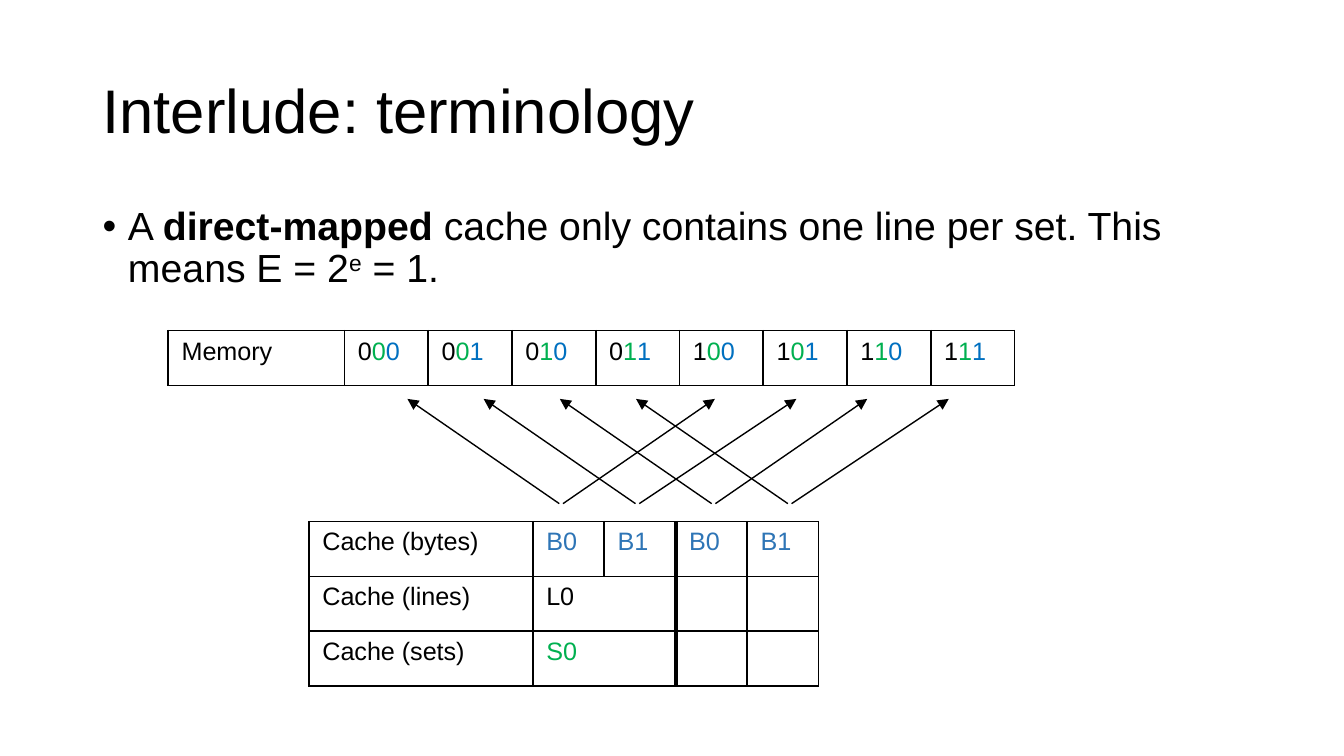
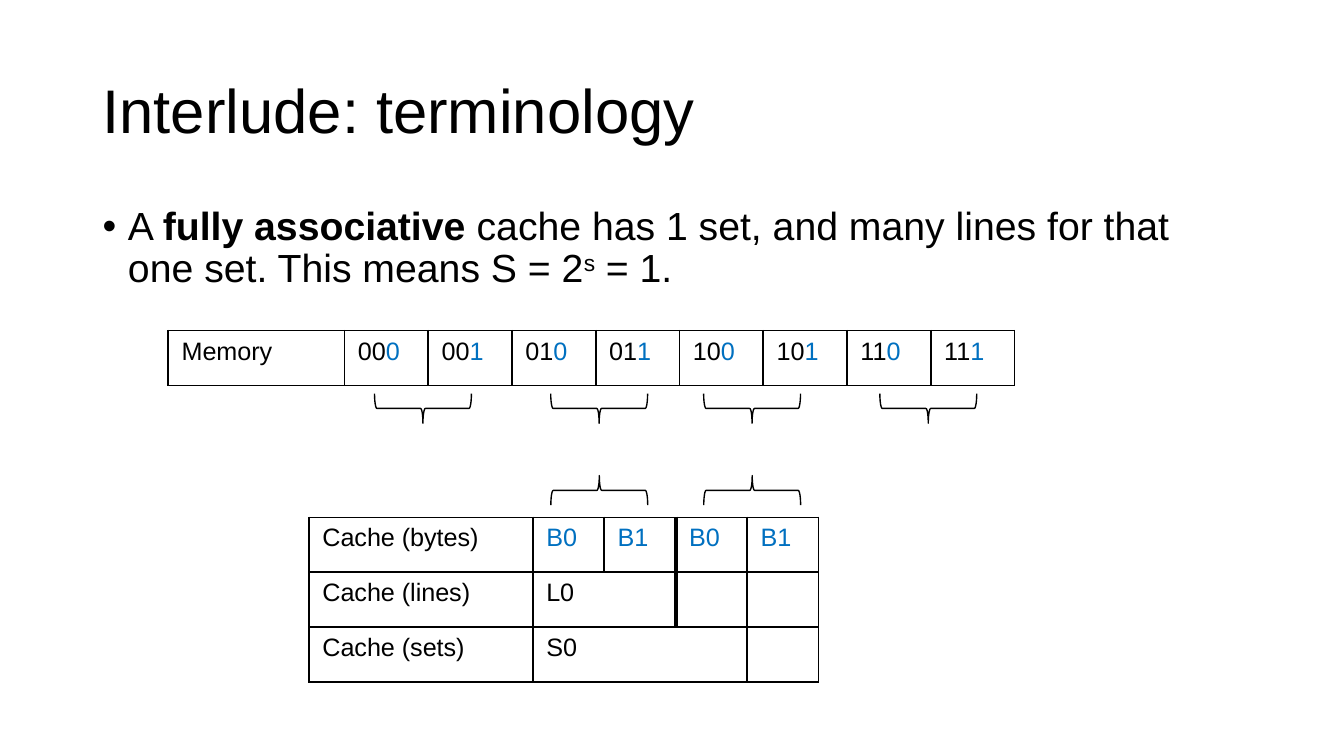
from collections import namedtuple
from dataclasses import dataclass

import pptx
import pptx.dml.color
import pptx.enum.shapes
import pptx.enum.text
import pptx.oxml
import pptx.oxml.ns
import pptx.util

Cm = pptx.util.Cm
Pt = pptx.util.Pt
RGB = pptx.dml.color.RGBColor
NS = pptx.oxml.ns.nsdecls("a")
Box = namedtuple("Box", "x y w h")


@dataclass(frozen=True)
class Theme:
    font: str = "Arial"
    ink: RGB = RGB(0, 0, 0)
    set_bits: RGB = RGB(0x00, 0xB0, 0x50)
    offset_bits: RGB = RGB(0x00, 0x70, 0xC0)
    byte_label: RGB = RGB(0x2E, 0x75, 0xB6)
    title: float = 33
    body: float = 21
    cell: float = 13.5
    line: float = 0.75
    border: float = 0.96
    heavy: float = 2.21


T = Theme()
TITLE = Box(1.75, 0.76, 21.9, 2.77)
BODY = Box(1.75, 3.81, 21.9, 9.07)
MEMORY = Box(3.18, 6.25, 16, 1.04)
ARROWS = Box(7.7, 7.54, 10.23, 1.98)
CACHE = Box(5.84, 9.86, 9.63, 3.11)
BRACES = Box(7.08, 7.44, 11.4, 2.11)


def add_run(p, text, size=T.cell, color=T.ink, bold=False, raised=False):
    r = p.add_run()
    r.text = text
    r.font.name = T.font
    r.font.size = Pt(size)
    r.font.bold = bold
    r.font.color.rgb = color
    if raised:
        r._r.get_or_add_rPr().set("baseline", "30000")


def add_text_box(s, box, anchor):
    sp = s.shapes.add_textbox(*map(Cm, box))
    tf = sp.text_frame
    tf.word_wrap = True
    tf.vertical_anchor = anchor
    tf.margin_left = tf.margin_right = Cm(0.19)
    tf.margin_top = tf.margin_bottom = Cm(0.1)
    p = tf.paragraphs[0]
    p.line_spacing = 0.9
    return p


def add_title(s, box, text):
    p = add_text_box(s, box, pptx.enum.text.MSO_ANCHOR.MIDDLE)
    add_run(p, text, size=T.title)


def add_bullet(s, box, term, statement, exponent):
    p = add_text_box(s, box, pptx.enum.text.MSO_ANCHOR.TOP)
    pPr = p._p.get_or_add_pPr()
    pPr.set("marL", str(Cm(0.48)))
    pPr.set("indent", str(-Cm(0.48)))
    pPr.append(pptx.oxml.parse_xml(f'<a:buFont {NS} typeface="{T.font}"/>'))
    pPr.append(pptx.oxml.parse_xml(f'<a:buChar {NS} char="•"/>'))
    add_run(p, "A ", size=T.body)
    add_run(p, term, size=T.body, bold=True)
    add_run(p, statement, size=T.body)
    add_run(p, exponent, size=T.body, raised=True)
    add_run(p, " = 1.", size=T.body)


def set_borders(cell, left, right):
    tcPr = cell._tc.get_or_add_tcPr()
    widths = {"lnL": left, "lnR": right, "lnT": T.border, "lnB": T.border}
    for i, (side, width) in enumerate(widths.items()):
        tcPr.insert(i, pptx.oxml.parse_xml(
            f'<a:{side} {NS} w="{Pt(width)}"><a:solidFill>'
            f'<a:srgbClr val="{T.ink}"/></a:solidFill></a:{side}>'))


def add_grid(s, box, label_width, rows, columns, heavy_edge=None):
    table = s.shapes.add_table(len(rows), columns, *map(Cm, box)).table
    table.first_row = table.horz_banding = False
    for i, column in enumerate(table.columns):
        column.width = Cm(label_width if i == 0 else (box.w - label_width) / (columns - 1))
    for i, row in enumerate(rows):
        table.rows[i].height = Cm(box.h / len(rows))
        start = 0
        for span, runs in row:
            end = start + span
            for j in range(start, end):
                cell = table.cell(i, j)
                cell.fill.background()
                set_borders(cell,
                            T.heavy if start == heavy_edge else T.border,
                            T.heavy if end == heavy_edge else T.border)
            cell = table.cell(i, start)
            if span > 1:
                cell.merge(table.cell(i, end - 1))
            for text, color in runs:
                add_run(cell.text_frame.paragraphs[0], text, color=color)
            start = end


def add_memory(s, box, bit_colors):
    row = [(1, [("Memory", T.ink)])]
    for address in range(8):
        row.append((1, list(zip(format(address, "03b"), bit_colors))))
    add_grid(s, box, 3.33, [row], 9)


def add_cache(s, box, byte_color, set_color, set_span):
    empty = (1, [])
    names = ("B0", "B1", "B0", "B1")
    rows = [
        [(1, [("Cache (bytes)", T.ink)])] + [(1, [(n, byte_color)]) for n in names],
        [(1, [("Cache (lines)", T.ink)]), (2, [("L0", T.ink)]), empty, empty],
        [(1, [("Cache (sets)", T.ink)]), (set_span, [("S0", set_color)])]
        + [empty] * (4 - set_span),
    ]
    add_grid(s, box, 4.23, rows, 5, heavy_edge=3)


def add_arrow(s, x1, y1, x2, y2):
    sp = s.shapes.add_connector(pptx.enum.shapes.MSO_CONNECTOR.STRAIGHT,
                                Cm(x1), Cm(y1), Cm(x2), Cm(y2))
    sp.line.color.rgb = T.ink
    sp.line.width = Pt(T.line)
    sp.line._get_or_add_ln().append(
        pptx.oxml.parse_xml(f'<a:tailEnd {NS} type="triangle"/>'))
    sp._element.spPr.append(pptx.oxml.parse_xml(f'<a:effectLst {NS}/>'))


def add_mapping_arrows(s, box):
    pitch, reach = 1.44, 2.87
    for i in range(4):
        x = box.x + pitch * i
        add_arrow(s, x + reach, box.y + box.h, x, box.y)
    for i in range(4):
        x = box.x + reach + 0.07 + pitch * i
        add_arrow(s, x, box.y + box.h, x + reach + 0.1 * (i % 2), box.y)


def add_brace(s, x, y, rotation):
    depth, width = 0.56, 1.83
    sp = s.shapes.add_shape(pptx.enum.shapes.MSO_SHAPE.LEFT_BRACE,
                            Cm(x + (width - depth) / 2), Cm(y + (depth - width) / 2),
                            Cm(depth), Cm(width))
    sp.rotation = rotation
    sp.adjustments[0] = 0.08
    sp.shadow.inherit = False
    sp.fill.background()
    sp.line.color.rgb = T.ink
    sp.line.width = Pt(T.line)


def add_pair_braces(s, box):
    offsets = (0, 3.33, 6.22, 9.55)
    for dx in offsets:
        add_brace(s, box.x + dx, box.y, 270)
    for dx in offsets[1:3]:
        add_brace(s, box.x + dx, box.y + box.h - 0.56, 90)


def add_term_slide(prs, term, statement, exponent):
    s = prs.slides.add_slide(prs.slide_layouts[6])
    add_title(s, TITLE, "Interlude: terminology")
    add_bullet(s, BODY, term, statement, exponent)
    return s


def main():
    prs = pptx.Presentation()
    prs.slide_width, prs.slide_height = Cm(25.4), Cm(14.29)

    s = add_term_slide(prs, "direct-mapped",
                       " cache only contains one line per set. This means E = 2", "e")
    add_memory(s, MEMORY, (T.ink, T.set_bits, T.offset_bits))
    add_cache(s, CACHE, T.byte_label, T.set_bits, 2)
    add_mapping_arrows(s, ARROWS)

    s = add_term_slide(prs, "fully associative",
                       " cache has 1 set, and many lines for that one set."
                       " This means S = 2", "s")
    add_memory(s, MEMORY, (T.ink, T.ink, T.offset_bits))
    add_cache(s, CACHE._replace(y=9.78), T.offset_bits, T.ink, 3)
    add_pair_braces(s, BRACES)

    prs.save("out.pptx")


main()
